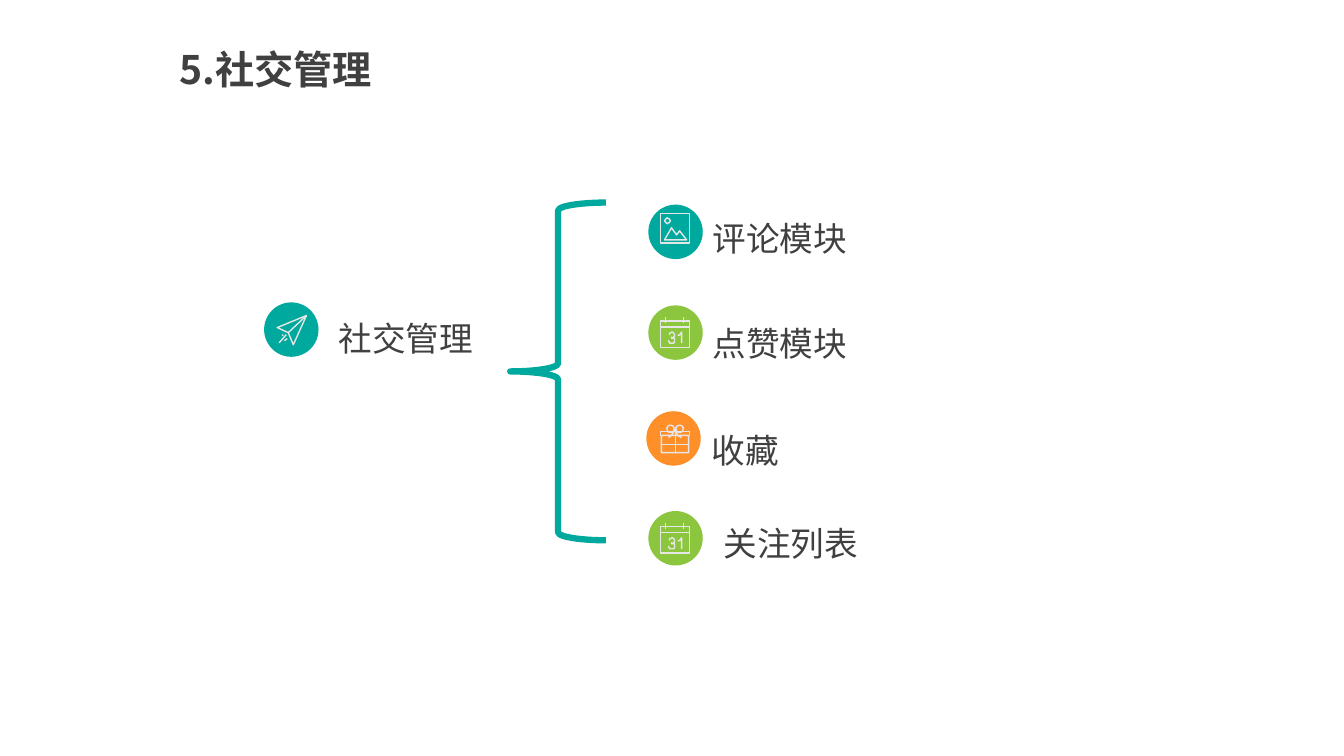
"""Build the social management slide: one topic braced to four modules."""
from math import cos, pi, sin

from pptx import Presentation
from pptx.dml.color import RGBColor
from pptx.enum.shapes import MSO_SHAPE
from pptx.enum.text import MSO_ANCHOR, MSO_AUTO_SIZE, PP_ALIGN
from pptx.oxml.ns import qn
from pptx.util import Inches, Pt

COLORS = {"teal": "00A99D", "green": "8CC63F", "orange": "FF8F29",
          "icon": "E7E6E6", "text": "404040"}
FONT = "Noto Sans CJK SC"
WIDTH, HEIGHT = Inches(13.33), Inches(7.5)
CIRCLE = (4.05, 7.2)
LABEL = (34.43, 7.2)
TITLE_FORMAT = {"size": Pt(28), "bold": True, "name": FONT}
LABEL_FORMAT = {"size": Pt(24), "bold": False, "name": FONT}
FRAME_FORMAT = {"word_wrap": True, "vertical_anchor": MSO_ANCHOR.TOP,
                "auto_size": MSO_AUTO_SIZE.SHAPE_TO_FIT_TEXT}

# text, icon, colour, circle left/top, label left/top (percent of the slide)
TOPIC = ("社交管理", "plane", "teal", (19.65, 40), (24.46, 40.27))
MODULES = [
    ("评论模块", "picture", "teal", (48.24, 27.07), (52.29, 27.07)),
    ("点赞模块", "calendar", "green", (48.24, 40.4), (52.29, 40.93)),
    ("收藏", "gift", "orange", (48.09, 54.4), (52.21, 55.2)),
    ("关注列表", "calendar", "green", (48.24, 67.6), (53.11, 67.47)),
]


def rgb(name):
    return RGBColor.from_string(COLORS[name])


def area(left, top, width, height):
    return (round(WIDTH * left / 100), round(HEIGHT * top / 100),
            round(WIDTH * width / 100), round(HEIGHT * height / 100))


def arc(x, y, radius, start=0, turn=2 * pi, steps=16):
    angles = [start + turn * i / steps for i in range(steps + 1)]
    return [(x + radius * cos(a), y + radius * sin(a)) for a in angles]


def round_box(left, top, right, bottom, radius=2):
    corners = [(right - radius, bottom - radius), (left + radius, bottom - radius),
               (left + radius, top + radius), (right - radius, top + radius)]
    pts = [pt for i, (x, y) in enumerate(corners)
           for pt in arc(x, y, radius, i * pi / 2, pi / 2, 4)]
    return pts + pts[:1]


def icon_strokes():
    return {
        "picture": ((11, 8), [
            round_box(0.7, 0.7, 30.3, 30.3), arc(8, 8, 2.7),
            [(5, 27), (12.5, 15), (17, 21.5), (20.5, 17.5), (27, 27), (5, 27)]]),
        "calendar": ((11, 11.5), [
            round_box(0.7, 3.7, 30.3, 30.3), [(0.7, 10.5), (30.3, 10.5)],
            *[[(x, 0.5), (x, 6.5)] for x in (6.5, 24.5)],
            arc(12.3, 18, 2.7, -pi, 1.5 * pi) + arc(12.3, 23.4, 3, -pi / 2, 1.5 * pi),
            [(18, 18), (20, 17.5), (21.5, 15.3), (21.5, 26.4)]]),
        "gift": ((13, 13), [
            round_box(0.7, 7, 30.3, 11.2, 1), round_box(2.3, 11.2, 28.7, 28.3, 1),
            [(15.5, 7), (15.5, 28.3)], [(2.3, 19.7), (28.7, 19.7)],
            arc(11, 4.4, 3.7), arc(20, 4.4, 3.7),
            [(9, 13.3), (12.5, 10.8), (15.5, 5), (18.5, 10.8), (22, 13.3)]]),
        "plane": ((12, 12), [
            [(0.7, 13.2), (30.3, 0.7), (17.3, 30.3), (12.5, 18), (0.7, 13.2)],
            [(12.5, 18), (30.3, 0.7)], [(11.3, 23.5), (8.5, 26.5)],
            [(10.5, 20.5), (3, 28)], [(6.3, 20.7), (7.3, 19.7)]]),
    }


def write(sp, text, fmt, align, spacing):
    tf = sp.text_frame
    for key, value in FRAME_FORMAT.items():
        setattr(tf, key, value)
    p = tf.paragraphs[0]
    p.alignment, p.line_spacing = align, spacing
    r = p.add_run()
    r.text = text
    for key, value in fmt.items():
        setattr(r.font, key, value)
    r.font.color.rgb = rgb("text")
    r.font._element.get_or_add_latin().addnext(
        r.font._element.makeelement(qn("a:ea"), {"typeface": FONT}))


def add_title(s, text):
    sp = s.shapes.title
    sp.left, sp.top, sp.width, sp.height = area(12.6, 5.33, 27, 7.6)
    write(sp, text, TITLE_FORMAT, PP_ALIGN.LEFT, 1.0)


def add_icon(s, name, left, top):
    offset, strokes = icon_strokes()[name]
    unit = Inches(0.01)
    builder = s.shapes.build_freeform(*strokes[0][0], scale=unit)
    for stroke in strokes:
        builder.move_to(*stroke[0])
        builder.add_line_segments(stroke[1:], close=False)
    sp = builder.convert_to_shape(round(left + offset[0] * unit),
                                  round(top + offset[1] * unit))
    sp.shadow.inherit = False
    sp.fill.background()
    sp.line.color.rgb, sp.line.width = rgb("icon"), Pt(1)


def add_item(s, text, icon, color, circle_at, label_at):
    box = area(*circle_at, *CIRCLE)
    sp = s.shapes.add_shape(MSO_SHAPE.OVAL, *box)
    sp.shadow.inherit = False
    sp.fill.solid()
    sp.fill.fore_color.rgb = rgb(color)
    sp.line.fill.background()
    add_icon(s, icon, *box[:2])
    label = s.shapes.add_textbox(*area(*label_at, *LABEL))
    write(label, text, LABEL_FORMAT, PP_ALIGN.JUSTIFY, 1.2)


def add_brace(s):
    sp = s.shapes.add_shape(MSO_SHAPE.LEFT_BRACE, *area(37.96, 26.8, 7.13, 44.67))
    sp.shadow.inherit = False
    sp.fill.background()
    sp.line.color.rgb, sp.line.width = rgb("teal"), Pt(4.5)


def main():
    prs = Presentation()
    prs.slide_width, prs.slide_height = WIDTH, HEIGHT
    s = prs.slides.add_slide(prs.slide_layouts[5])
    add_title(s, "5.社交管理")
    for item in [TOPIC, *MODULES]:
        add_item(s, *item)
    add_brace(s)
    prs.save("out.pptx")


if __name__ == "__main__":
    main()
